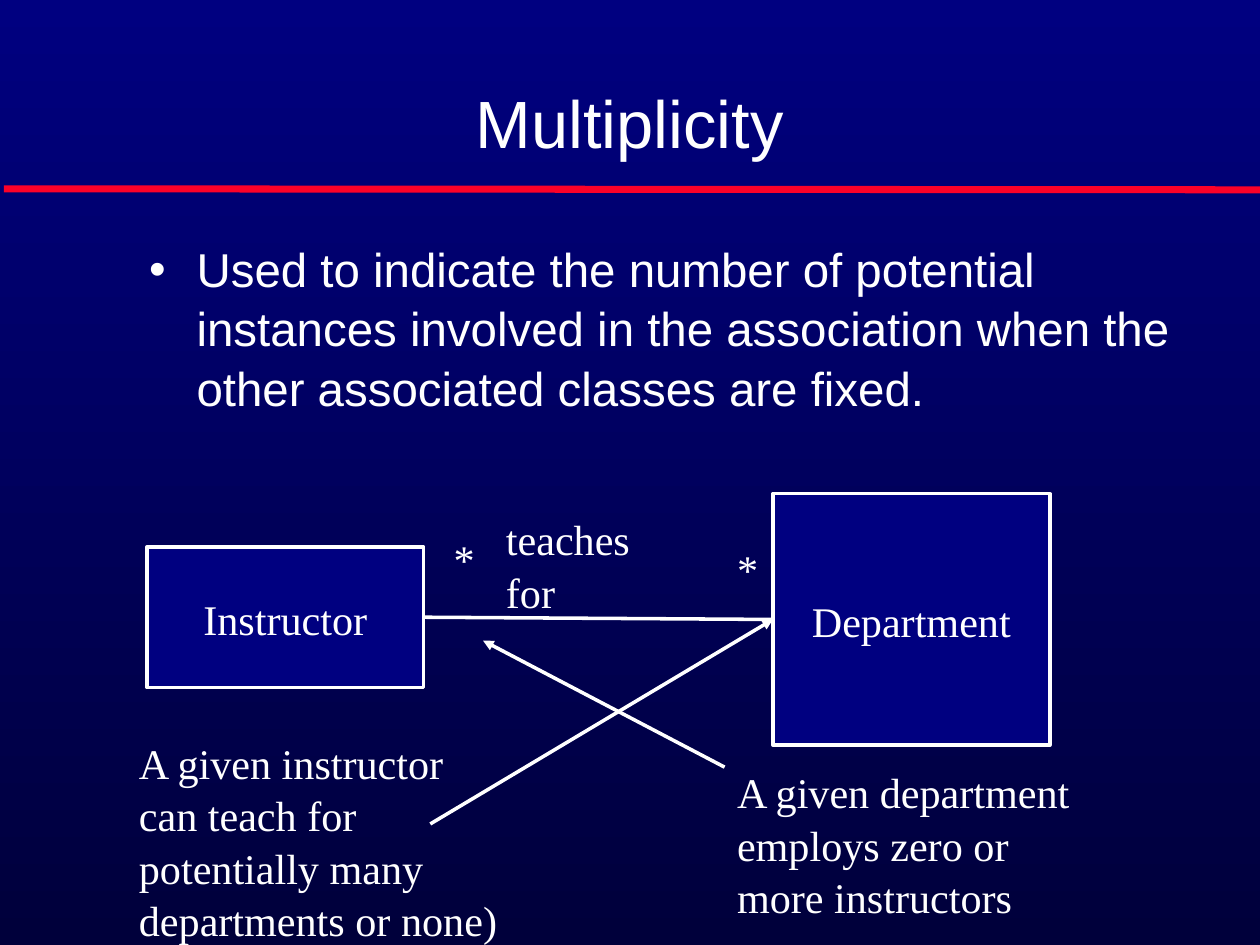
from pptx import Presentation
from pptx.dml.color import RGBColor
from pptx.enum.shapes import MSO_CONNECTOR, MSO_SHAPE
from pptx.enum.text import MSO_ANCHOR, MSO_AUTO_SIZE, PP_ALIGN
from pptx.oxml.ns import qn
from pptx.util import Cm, Pt
from lxml.etree import SubElement

COLORS = {
    "sky": "000080",
    "depth": "00003B",
    "rule": "FC0128",
    "ink": "FFFFFF",
}
HEADING = {"name": "Arial", "size": Pt(38)}
BODY = {"name": "Arial", "size": Pt(27)}
LABEL = {"name": "Times New Roman", "size": Pt(24)}


def color(key):
    return RGBColor.from_string(COLORS[key])


def apply(target, values):
    for attribute, value in values.items():
        setattr(target, attribute, value)


def place(part, box):
    apply(part, dict(zip(("left", "top", "width", "height"), map(Cm, box))))


def write(part, words, font, align=PP_ALIGN.LEFT, anchor=MSO_ANCHOR.TOP, wrap=True):
    frame = part.text_frame
    frame.text = words
    apply(frame, {
        "word_wrap": wrap,
        "auto_size": MSO_AUTO_SIZE.NONE,
        "vertical_anchor": anchor,
    })
    paragraph = frame.paragraphs[0]
    apply(paragraph, {"alignment": align, "space_before": Pt(0), "line_spacing": 1.04})
    apply(paragraph.font, font)
    paragraph.font.color.rgb = color("ink")


def add_line(slide, start, end, ink="ink", width=2, arrow=False):
    line = slide.shapes.add_connector(
        MSO_CONNECTOR.STRAIGHT, *(Cm(value) for value in (*start, *end)))
    line.line.color.rgb = color(ink)
    line.line.width = Pt(width)
    if arrow:
        SubElement(line.line._get_or_add_ln(), qn("a:tailEnd"), type="triangle")
    SubElement(line._element.spPr, qn("a:effectLst"))
    return line


def paint_background(slide):
    fill = slide.background.fill
    fill.gradient()
    fill.gradient_angle = 270
    for stop, key, position in zip(fill.gradient_stops, ("sky", "depth"), (0, 1)):
        stop.color.rgb = color(key)
        stop.position = position


def build_header(slide, box):
    title = slide.shapes.title
    place(title, box)
    write(title, "Multiplicity", HEADING, PP_ALIGN.CENTER, MSO_ANCHOR.BOTTOM)
    left, top, width, height = box
    rule_y = top + height + 0.41
    add_line(slide, (left - 1.77, rule_y), (left + width + 1.86, rule_y + 0.02), "rule", 4)


def build_definition(slide, box):
    definition = slide.placeholders[1]
    place(definition, box)
    properties = definition.text_frame.paragraphs[0]._p.get_or_add_pPr()
    properties.set("marL", str(Cm(1.3)))
    properties.set("indent", str(-Cm(1.3)))
    bullet_color = SubElement(properties, qn("a:buClr"))
    SubElement(bullet_color, qn("a:srgbClr"), val=COLORS["ink"])
    SubElement(properties, qn("a:buSzPct"), val="50000")
    SubElement(properties, qn("a:buChar"), char="●")
    write(definition, "Used to indicate the number of potential instances involved in the "
          "association when the other associated classes are fixed.", BODY)


def build_diagram(slide, box):
    left, top = box[:2]

    def at(x, y):
        return left + x, top + y

    def add_class(name, x, y, width, height):
        entity = slide.shapes.add_shape(
            MSO_SHAPE.RECTANGLE, *(Cm(value) for value in (*at(x, y), width, height)))
        entity.shadow.inherit = False
        entity.fill.solid()
        entity.fill.fore_color.rgb = color("sky")
        entity.line.color.rgb = color("ink")
        entity.line.width = Pt(2)
        write(entity, name, LABEL, PP_ALIGN.CENTER, MSO_ANCHOR.MIDDLE, False)
        return entity

    instructor = add_class("Instructor", 0.41, 1.07, 5.56, 2.82)
    department = add_class("Department", 12.98, 0, 5.56, 5.05)

    association = add_line(slide, at(12.98, 2.53), at(5.97, 2.48))
    association.begin_connect(department, 1)
    association.end_connect(instructor, 3)
    teaching = add_line(slide, at(6.1, 6.63), at(12.98, 2.53), arrow=True)
    teaching.end_connect(department, 1)
    add_line(slide, at(12.01, 5.49), at(7.16, 2.95), arrow=True)

    labels = [
        ("teaches for", 7.37, 0.23, 3.8, 2.29),
        ("A given instructor can teach for potentially many departments or none)",
         0, 4.72, 7.9, 4.32),
        ("A given department employs zero or more instructors", 12.01, 5.31, 7.29, 3.28),
        ("*", 12.01, 0.84, 1, 1.27),
        ("*", 6.32, 0.64, 1, 1.27),
    ]
    for words, x, y, width, height in labels:
        label = slide.shapes.add_textbox(
            *(Cm(value) for value in (*at(x, y), width, height)))
        write(label, words, LABEL)


def main():
    presentation = Presentation()
    apply(presentation, {"slide_width": Cm(25.3), "slide_height": Cm(18.97)})
    slide = presentation.slides.add_slide(presentation.slide_layouts[1])
    paint_background(slide)
    build_header(slide, (1.85, 0.84, 21.59, 2.54))
    build_definition(slide, (2.74, 4.65, 21.59, 3.3))
    build_diagram(slide, (2.54, 9.91, 19.3, 9.04))
    presentation.save("out.pptx")


if __name__ == "__main__":
    main()
